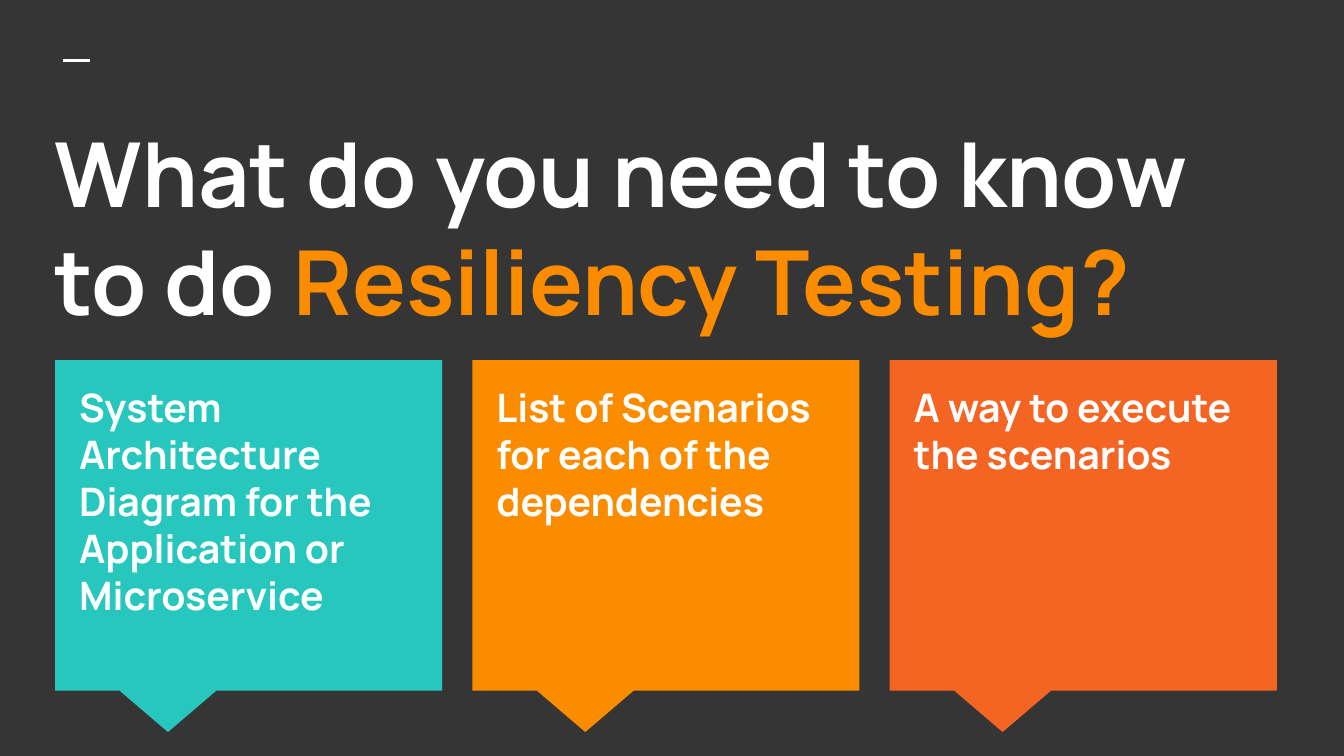
from lxml import etree
from pptx import Presentation
from pptx.dml.color import RGBColor
from pptx.enum.shapes import MSO_CONNECTOR, MSO_SHAPE
from pptx.enum.text import MSO_ANCHOR
from pptx.oxml.ns import qn
from pptx.util import Inches, Pt

FONT = "Manrope"
WHITE = "FFFFFF"
ORANGE = "FB8C00"
SLIDE_WIDTH = 10
SLIDE_HEIGHT = SLIDE_WIDTH * 9 / 16
CARDS = [
    ("System Architecture Diagram for the Application or Microservice", "27C7BD"),
    ("List of Scenarios for each of the dependencies", ORANGE),
    ("A way to execute the scenarios", "F46524"),
]
CARD_TOP = 2.68
FIRST_CARD_LEFT, LAST_CARD_LEFT = 0.41, 6.62
CARD_STEP = (LAST_CARD_LEFT - FIRST_CARD_LEFT) / (len(CARDS) - 1)


def color(hex_string):
    return RGBColor.from_string(hex_string)


def add_text(slide, left, top, width, height, runs, size=21, space_after=0):
    """Add a text box from a list of (text, colour) runs."""
    box = slide.shapes.add_textbox(
        Inches(left), Inches(top), Inches(width), Inches(height))
    frame = box.text_frame
    frame.word_wrap = True
    frame.vertical_anchor = MSO_ANCHOR.TOP
    frame.margin_left = frame.margin_right = Inches(0.1)
    frame.margin_top = frame.margin_bottom = Inches(0.1)
    paragraph = frame.paragraphs[0]
    paragraph.space_after = Pt(space_after)
    for text, fill in runs:
        run = paragraph.add_run()
        run.text = text
        run.font.name = FONT
        run.font.size = Pt(size)
        run.font.bold = True
        run.font.color.rgb = color(fill)


def add_accent_line(slide):
    line = slide.shapes.add_connector(
        MSO_CONNECTOR.STRAIGHT,
        Inches(0.47), Inches(0.45), Inches(0.67), Inches(0.45))
    line.line.color.rgb = color(WHITE)
    line.line.width = Pt(1.5)
    etree.SubElement(line._element.spPr, qn("a:effectLst"))


def add_callout(slide, left, top, fill):
    callout = slide.shapes.add_shape(
        MSO_SHAPE.RECTANGULAR_CALLOUT,
        Inches(left), Inches(top), Inches(2.88), Inches(2.46))
    callout.adjustments[0] = -5 / 24
    callout.adjustments[1] = 5 / 8
    callout.shadow.inherit = False
    callout.fill.solid()
    callout.fill.fore_color.rgb = color(fill)
    callout.line.fill.background()


def main():
    presentation = Presentation()
    presentation.slide_width = Inches(SLIDE_WIDTH)
    presentation.slide_height = Inches(SLIDE_HEIGHT)
    slide = presentation.slides.add_slide(presentation.slide_layouts[6])
    slide.background.fill.solid()
    slide.background.fill.fore_color.rgb = color("353535")

    # Heading
    add_accent_line(slide)
    add_text(slide, 0.31, 0.78, 9.44, 4.19,
             [("What do you need to know to do ", WHITE),
              ("Resiliency Testing?", ORANGE)], size=48)

    # Row of callout cards
    for index, (text, fill) in enumerate(CARDS):
        left = FIRST_CARD_LEFT + index * CARD_STEP
        add_callout(slide, left, CARD_TOP, fill)
        add_text(slide, left + 0.08, CARD_TOP + 0.07, 2.71, 2.19,
                 [(text, WHITE)], space_after=12)

    presentation.save("out.pptx")


if __name__ == "__main__":
    main()
